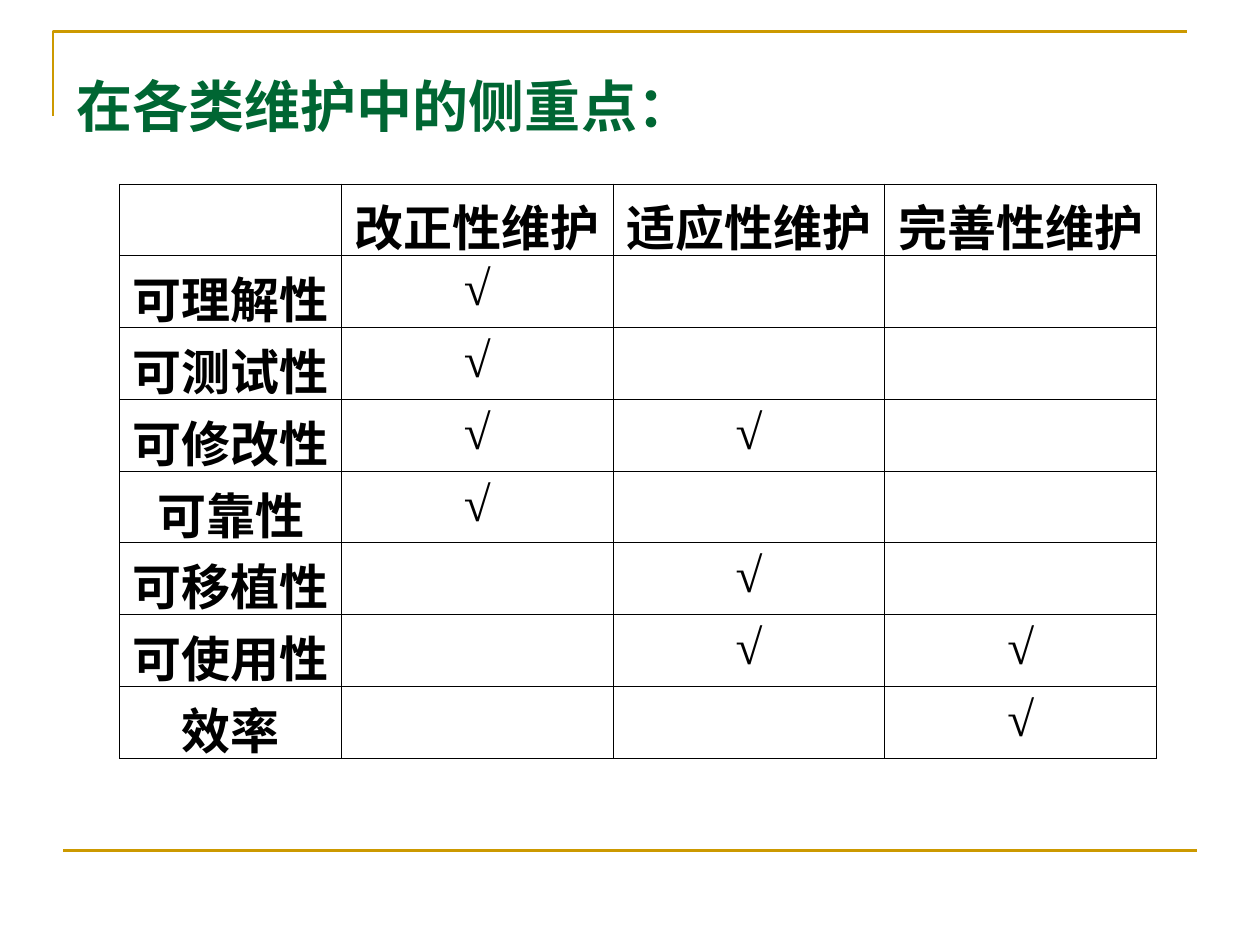
import pptx
import pptx.dml.color
import pptx.enum.shapes
import pptx.enum.text
import pptx.oxml
import pptx.oxml.ns
import pptx.util
import lxml.etree

Inches = pptx.util.Inches
GOLD, GREEN, BLACK = "CC9900", "006633", "000000"
CHECK = "√"
KINDS = ["改正性维护", "适应性维护", "完善性维护"]
FOCUS = {
    "可理解性": [0],
    "可测试性": [0],
    "可修改性": [0, 1],
    "可靠性": [0],
    "可移植性": [1],
    "可使用性": [1, 2],
    "效率": [2],
}


def colour(value):
    return pptx.dml.color.RGBColor.from_string(value)


def style(paragraph, face, size, value):
    for run in paragraph.runs:
        run.font.name = face
        run.font.size = pptx.util.Pt(size)
        run.font.bold = True
        run.font.color.rgb = colour(value)


def gold_line(shape):
    shape.line.color.rgb = colour(GOLD)
    shape.line.width = pptx.util.Pt(1.5)


def draw_frame(slide, left, top, width, height):
    corner = slide.shapes.build_freeform(Inches(left), Inches(top + 0.67))
    corner.add_line_segments(
        [(Inches(left), Inches(top)), (Inches(left + width), Inches(top))], close=False
    )
    bracket = corner.convert_to_shape()
    bracket.shadow.inherit = False
    bracket.fill.background()
    gold_line(bracket)

    start, bottom = left + 0.08, top + height
    footer = slide.shapes.add_connector(
        pptx.enum.shapes.MSO_CONNECTOR.STRAIGHT,
        Inches(start), Inches(bottom), Inches(start + width), Inches(bottom),
    )
    gold_line(footer)
    lxml.etree.SubElement(footer._element.spPr, pptx.oxml.ns.qn("a:effectLst"))


def place_title(slide, left, top, width, height):
    heading = slide.shapes.title
    heading.left, heading.top = Inches(left), Inches(top)
    heading.width, heading.height = Inches(width), Inches(height)
    frame = heading.text_frame
    frame.text = "在各类维护中的侧重点："
    frame.word_wrap = False
    frame.auto_size = pptx.enum.text.MSO_AUTO_SIZE.NONE
    frame.vertical_anchor = pptx.enum.text.MSO_ANCHOR.TOP
    frame.paragraphs[0].alignment = pptx.enum.text.PP_ALIGN.LEFT
    style(frame.paragraphs[0], "Arial", 32, GREEN)


def outline(cell):
    properties = cell._tc.get_or_add_tcPr()
    for position, side in enumerate(("lnL", "lnR", "lnT", "lnB")):
        border = pptx.oxml.parse_xml(
            f'<a:{side} {pptx.oxml.ns.nsdecls("a")} w="{pptx.util.Pt(0.45)}">'
            f'<a:solidFill><a:srgbClr val="{BLACK}"/></a:solidFill></a:{side}>'
        )
        properties.insert(position, border)


def place_focus_table(slide, left, top, width, height):
    rows = [["", *KINDS]]
    for quality, marked in FOCUS.items():
        rows.append([quality] + [CHECK if i in marked else "" for i in range(len(KINDS))])
    grid = slide.shapes.add_table(
        len(rows), len(rows[0]), Inches(left), Inches(top), Inches(width), Inches(height)
    ).table
    grid.first_row = grid.horz_banding = False
    label_width = 1.76
    for i, column in enumerate(grid.columns):
        column.width = Inches((width - label_width) / len(KINDS) if i else label_width)
    for r, row in enumerate(rows):
        for c, entry in enumerate(row):
            cell = grid.cell(r, c)
            cell.text = entry
            cell.fill.background()
            cell.margin_left = cell.margin_right = Inches(0.1)
            cell.margin_top = Inches(0.05)
            cell.margin_bottom = Inches(-0.05)
            paragraph = cell.text_frame.paragraphs[0]
            paragraph.alignment = pptx.enum.text.PP_ALIGN.CENTER
            style(paragraph, "Times New Roman", 28, BLACK)
            outline(cell)


def main():
    deck = pptx.Presentation()
    deck.slide_width, deck.slide_height = Inches(10), Inches(7.5)
    slide = deck.slides.add_slide(deck.slide_layouts[5])
    draw_frame(slide, 0.42, 0.25, 9, 6.5)
    place_title(slide, 0.51, 0.52, 5.35, 0.64)
    place_focus_table(slide, 0.95, 1.46, 8.23, 4.56)
    deck.save("out.pptx")


if __name__ == "__main__":
    main()
